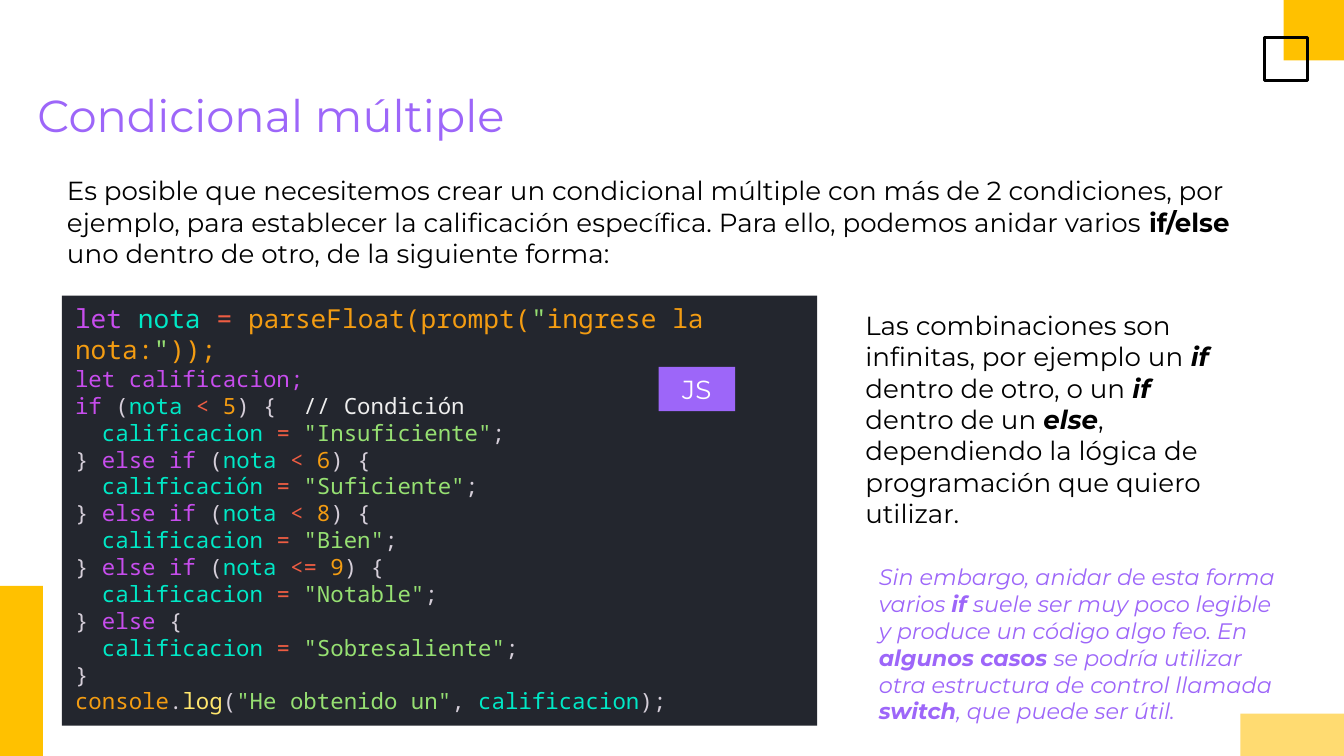
"""Build the slide on multiple conditionals in JavaScript."""
from pptx import Presentation
from pptx.dml.color import RGBColor
from pptx.enum import shapes, text
from pptx.util import Inches, Pt

AMBER = RGBColor(0xFF, 0xC1, 0x00)
PALE_AMBER = RGBColor(0xFF, 0xDB, 0x71)
PURPLE = RGBColor(0x9D, 0x66, 0xF9)
BLACK = RGBColor(0x00, 0x00, 0x00)
WHITE = RGBColor(0xFF, 0xFF, 0xFF)
CODE_BACKGROUND = RGBColor(0x23, 0x26, 0x2E)
KEYWORD = RGBColor(0xC7, 0x4D, 0xED)
VARIABLE = RGBColor(0x00, 0xE8, 0xC6)
OPERATOR = RGBColor(0xEE, 0x5D, 0x43)
LITERAL = RGBColor(0xF3, 0x9C, 0x12)
STRING = RGBColor(0x96, 0xE0, 0x72)
PLAIN = RGBColor(0xD5, 0xCE, 0xD9)
COMMENT = RGBColor(0xEE, 0xEE, 0xEE)
METHOD = RGBColor(0xFF, 0xE6, 0x6D)

SANS, MONO = "Montserrat", "Noto Sans Mono"
MARGINS = (0.1, 0.1)
CODE_MARGINS = (0.1, 0.05)
SLIDE_WIDTH = Inches(10)
SLIDE_HEIGHT = SLIDE_WIDTH * 9 // 16

DECORATIONS = [
    ((9.55, 0, 0.45, 0.45), AMBER, None),
    ((0, 4.36, 0.32, 1.27), AMBER, None),
    ((9.41, 0.28, 0.32, 0.32), None, BLACK),
    ((9.23, 5.31, 0.77, 0.32), PALE_AMBER, None),
]

TEXTS = [
    ((0.18, 0.55, 9.47, 0.73), 24, PURPLE, [("Condicional múltiple", "")]),
    ((0.4, 1.2, 9.21, 0.87), 14, BLACK, [
        ("Es posible que necesitemos crear un condicional múltiple con más de 2 "
         "condiciones, por ejemplo, para establecer la calificación específica. "
         "Para ello, podemos anidar varios ", ""),
        ("if/else", "b"),
        (" uno dentro de otro, de la siguiente forma:", ""),
    ]),
    ((6.44, 4.09, 3.22, 1.31), 12, PURPLE, [
        ("Sin embargo, anidar de esta forma varios ", "i"),
        ("if ", "bi"),
        ("suele ser muy poco legible y produce un código algo feo. En ", "i"),
        ("algunos casos ", "bi"),
        ("se podría utilizar otra estructura de control llamada ", "i"),
        ("switch", "bi"),
        (", que puede ser útil.", "i"),
    ]),
    ((6.34, 2.2, 3, 1.75), 14, BLACK, [
        ("Las combinaciones son infinitas, por ejemplo un ", ""),
        ("if", "bi"),
        (" dentro de otro, o un ", ""),
        ("if ", "bi"),
        ("dentro de un ", ""),
        ("else", "bi"),
        (", dependiendo la lógica de programación que quiero utilizar.", ""),
    ]),
]


def condition(operator, limit):
    return [(" (", PLAIN), ("nota ", VARIABLE), (operator + " ", OPERATOR),
            (limit, LITERAL), (") {", PLAIN)]


def else_if(operator, limit):
    return [("} ", PLAIN), ("else if", KEYWORD), *condition(operator, limit)]


def assignment(grade, variable="calificacion"):
    return [("  ", PLAIN), (variable + " ", VARIABLE), ("= ", OPERATOR),
            (f'"{grade}"', STRING), (";", PLAIN)]


CODE = [
    [("let ", KEYWORD), ("nota ", VARIABLE), ("= ", OPERATOR),
     ("parseFloat(prompt(", LITERAL), ('"', STRING),
     ("ingrese la nota:", LITERAL), ('"', STRING), ("));", LITERAL)],
    [("let calificacion;", KEYWORD)],
    [("if", KEYWORD), *condition("<", "5"), ("  // Condición", COMMENT)],
    assignment("Insuficiente"),
    else_if("<", "6"),
    assignment("Suficiente", "calificación"),
    else_if("<", "8"),
    assignment("Bien"),
    else_if("<=", "9"),
    assignment("Notable"),
    [("} ", PLAIN), ("else", KEYWORD), (" {", PLAIN)],
    assignment("Sobresaliente"),
    [("}", PLAIN)],
    [("console", LITERAL), (".", PLAIN), ("log", METHOD), ("(", PLAIN),
     ('"He obtenido un"', STRING), (", ", PLAIN),
     ("calificacion", VARIABLE), (");", PLAIN)],
]


def add_rectangle(slide, box, fill=None, line=None):
    shape = slide.shapes.add_shape(shapes.MSO_SHAPE.RECTANGLE, *map(Inches, box))
    shape.shadow.inherit = False
    if fill is None:
        shape.fill.background()
    else:
        shape.fill.solid()
        shape.fill.fore_color.rgb = fill
    if line is None:
        shape.line.fill.background()
    else:
        shape.line.color.rgb = line
        shape.line.width = Pt(1.5)
    return shape


def prepare_frame(shape, margins, anchor=text.MSO_ANCHOR.TOP):
    frame = shape.text_frame
    frame.word_wrap = True
    frame.vertical_anchor = anchor
    frame.margin_left = frame.margin_right = Inches(margins[0])
    frame.margin_top = frame.margin_bottom = Inches(margins[1])
    return frame


def add_run(paragraph, words, font, size, color, style=""):
    run = paragraph.add_run()
    run.text = words
    run.font.name = font
    run.font.size = Pt(size)
    run.font.color.rgb = color
    run.font.bold = "b" in style
    run.font.italic = "i" in style


def add_code(slide, box):
    frame = prepare_frame(add_rectangle(slide, box, CODE_BACKGROUND), CODE_MARGINS)
    for index, tokens in enumerate(CODE):
        paragraph = frame.add_paragraph() if index else frame.paragraphs[0]
        paragraph.alignment = text.PP_ALIGN.LEFT
        for words, color in tokens:
            add_run(paragraph, words, MONO, 12 if index else 14, color)


def add_label(slide, box, words):
    shape = add_rectangle(slide, box, PURPLE)
    paragraph = prepare_frame(shape, MARGINS, text.MSO_ANCHOR.MIDDLE).paragraphs[0]
    paragraph.alignment = text.PP_ALIGN.CENTER
    add_run(paragraph, words, SANS, 14, WHITE)


def main():
    presentation = Presentation()
    presentation.slide_width = SLIDE_WIDTH
    presentation.slide_height = SLIDE_HEIGHT
    slide = presentation.slides.add_slide(presentation.slide_layouts[6])
    for box, fill, line in DECORATIONS:
        add_rectangle(slide, box, fill, line)
    for box, size, color, runs in TEXTS:
        frame = prepare_frame(slide.shapes.add_textbox(*map(Inches, box)), MARGINS)
        for words, style in runs:
            add_run(frame.paragraphs[0], words, SANS, size, color, style)
    add_code(slide, (0.46, 2.2, 5.62, 3.2))
    add_label(slide, (4.9, 2.73, 0.57, 0.33), "JS")
    presentation.save("out.pptx")


if __name__ == "__main__":
    main()
